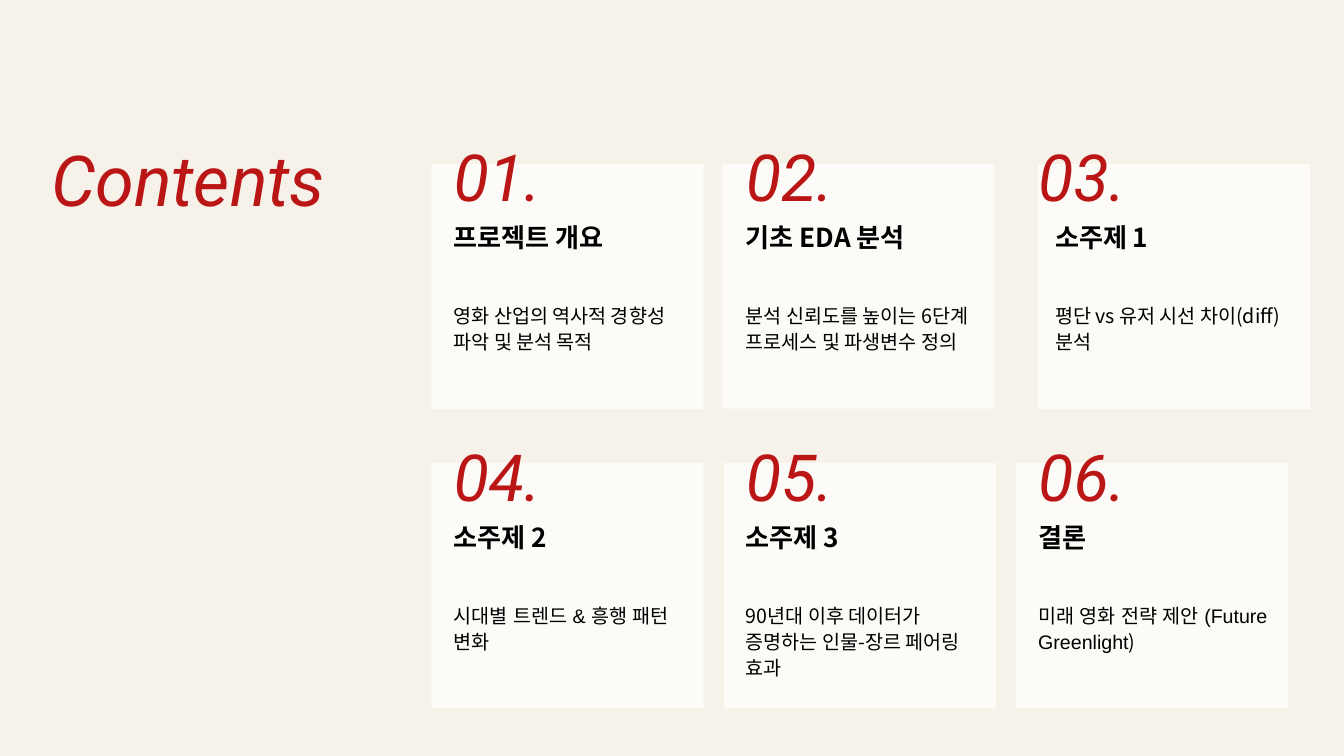
from lxml import etree
from pptx import Presentation
from pptx.dml.color import RGBColor
from pptx.enum import shapes, text
from pptx.oxml import ns
from pptx.util import Inches, Pt

CREAM = RGBColor(0xF6, 0xF2, 0xEA)
WHITE = RGBColor(0xFF, 0xFF, 0xFF)
RED = RGBColor(0xBB, 0x16, 0x16)
BLACK = RGBColor(0, 0, 0)

ROBOTO, ARIAL = "Roboto", "Arial"
NOTO_JP, NOTO_KR = "Noto Sans CJK JP", "Noto Sans CJK KR"

CARD_W, CARD_H = 4.05, 3.65
TEXT_W = 3.71
COLUMNS = [6.75, 11.1, 15.45]
ROWS = [1.93, 6.4]
# Offsets below the top of a row's numbers
HEADING_DY, BODY_DY = 1.36, 2.55

# Card left, card top, text indent, heading, heading font, body runs
TOPICS = [
    (6.42, 2.44, 0, "프로젝트 개요", NOTO_JP,
     [("영화 산업의 역사적 경향성 파악 및 분석 목적", NOTO_JP)]),
    (10.75, 2.43, 0, "기초 EDA 분석", NOTO_JP,
     [("분석 신뢰도를 높이는 6단계 프로세스 및 파생변수 정의", NOTO_JP)]),
    (15.45, 2.44, 0.25, "소주제 1", NOTO_KR,
     [("평단 vs 유저 시선 차이(diff) 분석", NOTO_JP)]),
    (6.42, 6.89, 0, "소주제 2", NOTO_KR,
     [("시대별 트렌드 & 흥행 패턴 변화", ARIAL)]),
    (10.77, 6.89, 0, "소주제 3", NOTO_KR,
     [("90년대 이후 데이터가 증명하는 인물-장르 페어링 효과", NOTO_JP)]),
    (15.12, 6.89, 0, "결론", NOTO_JP,
     [("미래 영화 전략 제안 (Future Greenlight", ARIAL), (")", NOTO_JP)]),
]


def add_card(s, x, y):
    sp = s.shapes.add_shape(shapes.MSO_SHAPE.RECTANGLE, Inches(x), Inches(y),
                            Inches(CARD_W), Inches(CARD_H))
    sp.shadow.inherit = False
    sp.line.fill.background()
    sp.fill.solid()
    sp.fill.fore_color.rgb = WHITE
    color = sp.fill._xPr.find(".//" + ns.qn("a:srgbClr"))
    etree.SubElement(color, ns.qn("a:alpha"), val="70000")


def write_text(sp, runs, size, spacing, color, bold=False, italic=False):
    """Fill a shape with one paragraph of (text, font) runs."""
    tf = sp.text_frame
    tf.word_wrap = True
    tf.auto_size = text.MSO_AUTO_SIZE.SHAPE_TO_FIT_TEXT
    tf.vertical_anchor = text.MSO_ANCHOR.TOP
    tf.margin_left = tf.margin_top = tf.margin_right = tf.margin_bottom = 0
    p = tf.paragraphs[0]
    p.alignment = text.PP_ALIGN.LEFT
    p.line_spacing = Pt(spacing)
    for content, font in runs:
        r = p.add_run()
        r.text = content
        r.font.size = Pt(size)
        r.font.bold = bold
        r.font.italic = italic
        r.font.color.rgb = color
        r.font.name = font
        # Hangul takes its typeface from the East Asian font
        etree.SubElement(r.font._element, ns.qn("a:ea"), typeface=font)


def add_box(s, x, y, w, h, runs, *style, **flags):
    sp = s.shapes.add_textbox(Inches(x), Inches(y), Inches(w), Inches(h))
    write_text(sp, runs, *style, **flags)


def add_title(s):
    sp = s.shapes.title
    sp.left, sp.top = Inches(0.76), Inches(ROWS[0])
    sp.width, sp.height = Inches(5.34), Inches(1.36)
    write_text(sp, [("Contents", ROBOTO)], 75.2, 97.7, RED, italic=True)


def add_topic(s, i, topic):
    card_x, card_y, indent, heading, font, body = topic
    x, y = COLUMNS[i % 3], ROWS[i // 3]
    add_card(s, card_x, card_y)
    add_box(s, x, y, 1.86, 1.27, [(f"{i + 1:02}.", ROBOTO)],
            69.5, 90.4, RED, italic=True)
    add_box(s, x + indent, y + HEADING_DY, TEXT_W, 0.46, [(heading, font)],
            28, 33.7, BLACK, bold=True)
    add_box(s, x + indent, y + BODY_DY, TEXT_W, 0.77, body, 21, 27.8, BLACK)


def main():
    prs = Presentation()
    prs.slide_width, prs.slide_height = Inches(20), Inches(11.25)
    s = prs.slides.add_slide(prs.slide_layouts[5])
    s.background.fill.solid()
    s.background.fill.fore_color.rgb = CREAM
    add_title(s)
    for i, topic in enumerate(TOPICS):
        add_topic(s, i, topic)
    prs.save("out.pptx")


if __name__ == "__main__":
    main()
